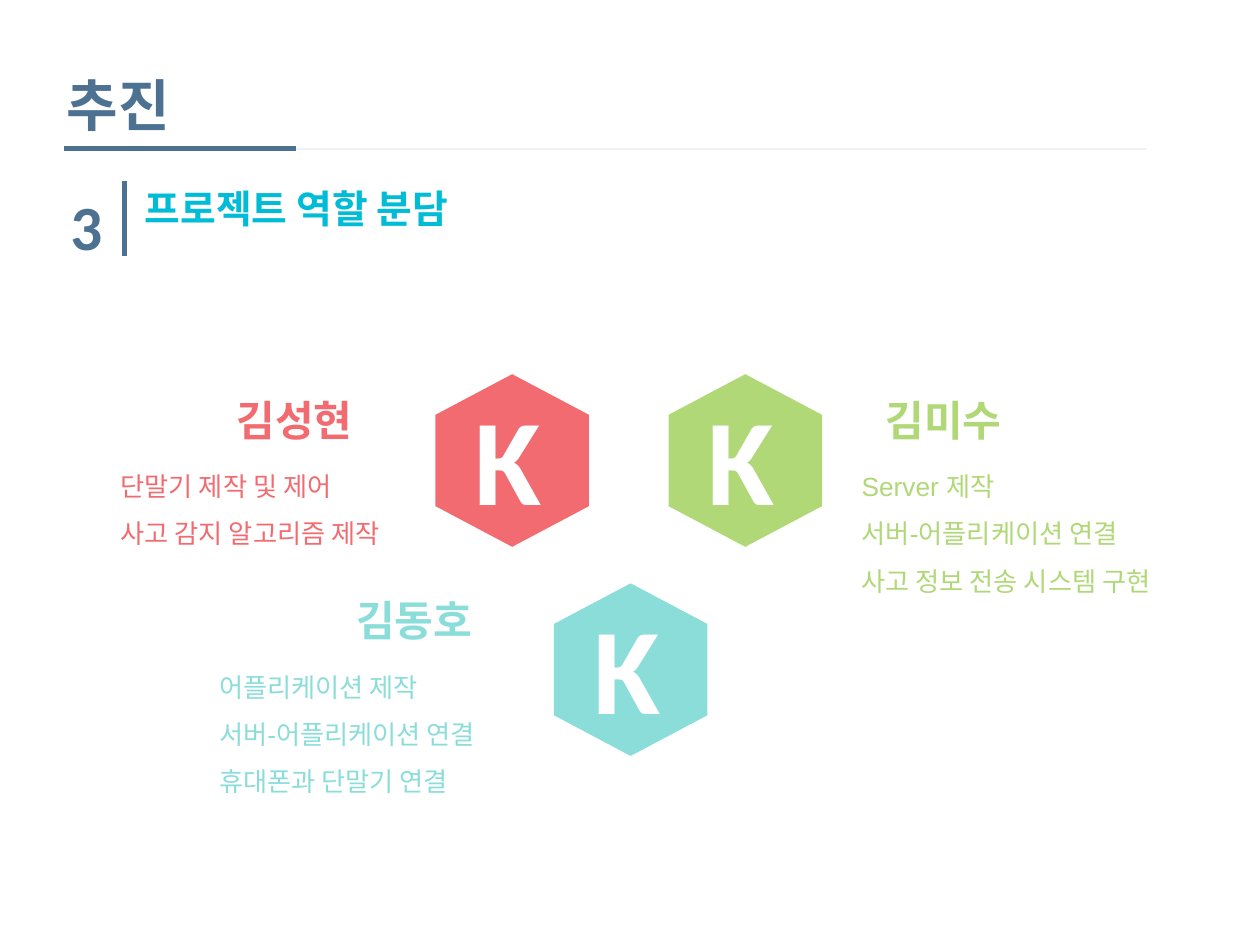
from lxml.etree import SubElement
from pptx import Presentation
from pptx.dml.color import RGBColor
from pptx.enum.shapes import MSO_CONNECTOR as Connector, MSO_SHAPE as Shape
from pptx.oxml.ns import qn
from pptx.util import Inches, Pt

HANGUL_FONT = "Noto Sans CJK KR"
NAVY, CYAN, PALE, WHITE = "4D7191", "00BCD7", "EFF3F4", "FFFFFF"
RED, GREEN, TEAL = "F26B70", "B0D877", "8BDDDA"
HEXAGON_WIDTH, HEXAGON_HEIGHT = 1.37, 1.29
UPPER_ROW, LOWER_ROW = 3.01, 4.67

# Each member: name, colour, hexagon corner, name corner, tasks box, tasks
MEMBERS = [
    ("김성현", RED, (3.38, UPPER_ROW), (1.78, 3.08), (0.86, 3.56, 2.6, 0.86),
     ["단말기 제작 및 제어", "사고 감지 알고리즘 제작"]),
    ("김미수", GREEN, (5.23, UPPER_ROW), (6.93, 3.08), (6.74, 3.56, 3.53, 1.24),
     ["Server 제작", "서버-어플리케이션 연결", "사고 정보 전송 시스템 구현"]),
    ("김동호", TEAL, (4.32, LOWER_ROW), (2.73, 4.67), (1.64, 5.15, 3.16, 1.24),
     ["어플리케이션 제작", "서버-어플리케이션 연결", "휴대폰과 단말기 연결"]),
]


def rgb(value):
    return RGBColor.from_string(value)


def add_text(slide, box, lines, *, size, color, font="Arial", bold=False, spacing=1.0):
    frame = slide.shapes.add_textbox(*map(Inches, box)).text_frame
    frame.word_wrap = True
    for index, line in enumerate(lines):
        paragraph = frame.paragraphs[0] if index == 0 else frame.add_paragraph()
        paragraph.line_spacing = spacing
        run = paragraph.add_run()
        run.text = line
        run.font.size = Pt(size)
        run.font.name = font
        run.font.bold = bold
        run.font.color.rgb = rgb(color)
        SubElement(run.font._element, qn("a:ea"), typeface=HANGUL_FONT)


def add_line(slide, start, end, color, width):
    line = slide.shapes.add_connector(
        Connector.STRAIGHT, *map(Inches, (*start, *end)))
    line.line.color.rgb = rgb(color)
    line.line.width = Pt(width)
    SubElement(line._element.spPr, qn("a:effectLst"))


def add_hexagon(slide, left, top, color):
    hexagon = slide.shapes.add_shape(
        Shape.HEXAGON, *map(Inches, (left, top, HEXAGON_WIDTH, HEXAGON_HEIGHT)))
    hexagon.rotation = 90
    hexagon.adjustments[0] = 0.25
    hexagon.adjustments[1] = 1.09
    hexagon.shadow.inherit = False
    hexagon.fill.solid()
    hexagon.fill.fore_color.rgb = rgb(color)
    hexagon.line.fill.background()


def add_member(slide, name, color, hexagon, name_corner, tasks_box, tasks):
    left, top = hexagon
    add_hexagon(slide, left, top, color)
    add_text(slide, (left + 0.29, top - 0.02, 1.23, 1.28), ["K"],
             size=70, color=WHITE, font="Calibri", bold=True)
    add_text(slide, (*name_corner, 1.59, 0.5), [name], size=24, color=color, bold=True)
    add_text(slide, tasks_box, tasks, size=15, color=color, spacing=1.5)


def add_heading(slide):
    # Rules
    add_line(slide, (0.99, 1.44), (0.99, 2.03), NAVY, 3)
    add_line(slide, (0.51, 1.18), (2.35, 1.18), NAVY, 2.75)
    add_line(slide, (2.35, 1.18), (9.1, 1.18), PALE, 1)
    # Title, section number and subtitle
    add_text(slide, (0.43, 0.57, 3.44, 0.75), ["추진"],
             size=32, color=NAVY, font=HANGUL_FONT, bold=True, spacing=0.9)
    add_text(slide, (0.46, 1.44, 0.78, 0.83), ["3"],
             size=36, color=NAVY, font="Calibri", bold=True)
    add_text(slide, (1.05, 1.46, 2.91, 0.56), ["프로젝트 역할 분담"],
             size=22.2, color=CYAN, font=HANGUL_FONT, bold=True, spacing=0.9)


def main():
    presentation = Presentation()
    presentation.slide_width, presentation.slide_height = Inches(10), Inches(7.5)
    slide = presentation.slides.add_slide(presentation.slide_layouts[6])
    add_heading(slide)
    for member in MEMBERS:
        add_member(slide, *member)
    presentation.save("out.pptx")


if __name__ == "__main__":
    main()
